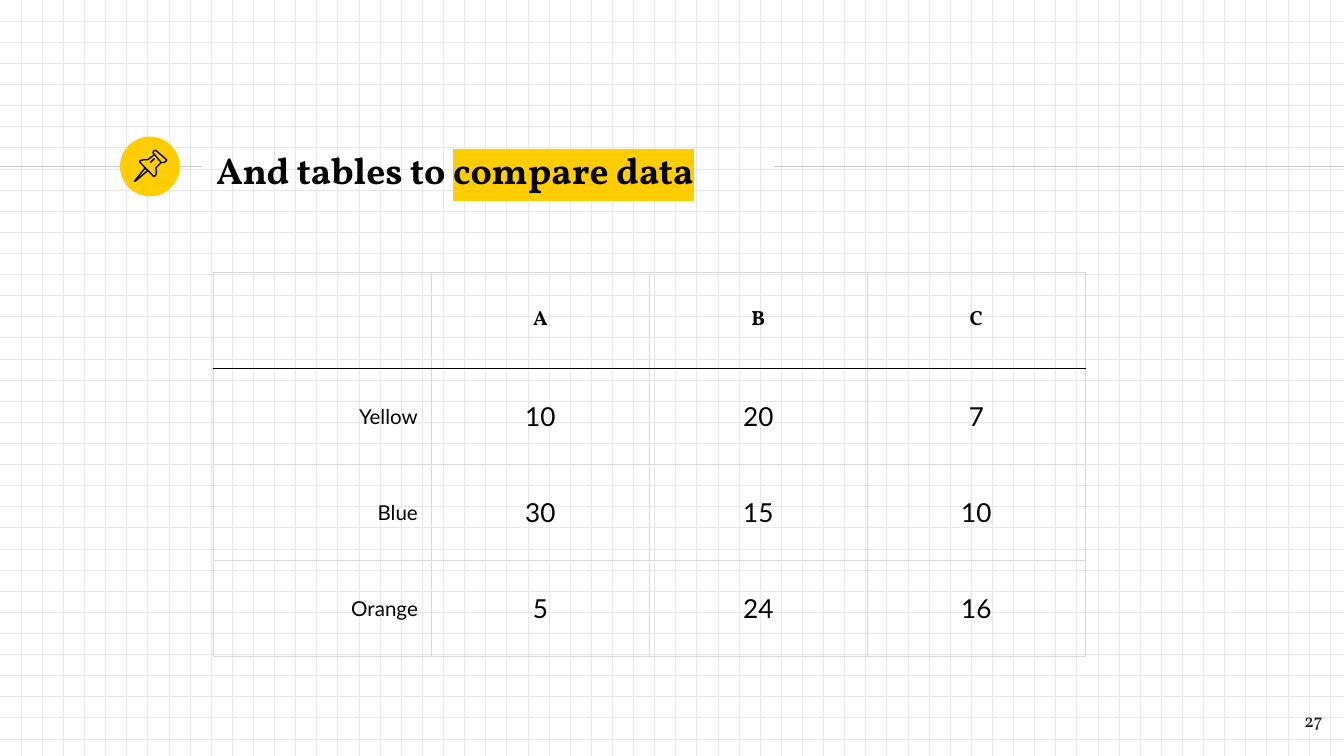
from lxml.etree import SubElement
from pptx import Presentation
from pptx.dml.color import RGBColor
from pptx.enum.dml import MSO_PATTERN
from pptx.enum.shapes import MSO_CONNECTOR, MSO_SHAPE
from pptx.enum.text import MSO_ANCHOR, PP_ALIGN
from pptx.oxml.ns import qn
from pptx.util import Pt

GOLD, BLACK, GRAY = "FFCD00", "000000", "D9D9D9"
SERIF, SANS = "Vollkorn", "Lato"
ROWS = [
    ["", "A", "B", "C"],
    ["Yellow", "10", "20", "7"],
    ["Blue", "30", "15", "10"],
    ["Orange", "5", "24", "16"],
]
PIN = [
    ([(5.8, 9.4), (0.7, 15.8), (0, 16.6), (1.4, 15.8), (7.2, 10.8)], True),
    ([(10.8, 2.2), (14.4, 6.5), (15.8, 6.5), (17, 5.8), (17.3, 5),
      (11.5, 0), (10.8, 0), (10.1, 0.7), (10.1, 1.4)], True),
    ([(10.8, 2.2), (7.2, 5), (5, 5), (3.2, 5.4), (2.9, 6.3), (10.1, 13.7),
      (10.8, 13.9), (11.5, 13.3), (11.9, 11.5), (11.5, 9.4), (14.4, 6.5)], False),
    ([(8.6, 6.5), (10.8, 4.3)], False),
]


def color(code):
    """Turn a hex string into a colour."""
    return RGBColor.from_string(code)


def add_run(para, text, size, face=SERIF, code=BLACK, bold=False, mark=None):
    """Add one styled run, with an optional highlight."""
    run = para.add_run()
    run.text = text
    font = run.font
    font.size, font.name, font.bold = Pt(size), face, bold
    font.color.rgb = color(code)
    if mark:
        props = run._r.get_or_add_rPr()
        light = SubElement(props, qn("a:highlight"))
        SubElement(light, qn("a:srgbClr"), val=mark)
        props.find(qn("a:solidFill")).addnext(light)


def add_box(slide, left, top, width, height, anchor):
    """Add a text box and return its first paragraph."""
    frame = slide.shapes.add_textbox(Pt(left), Pt(top), Pt(width), Pt(height)).text_frame
    frame.word_wrap = True
    frame.vertical_anchor = anchor
    frame.margin_left = frame.margin_right = Pt(7.2)
    frame.margin_top = frame.margin_bottom = Pt(7.2)
    return frame.paragraphs[0]


def add_rule(slide, start, end, y):
    """Draw one thin level line."""
    line = slide.shapes.add_connector(MSO_CONNECTOR.STRAIGHT, Pt(start), Pt(y), Pt(end), Pt(y))
    line.line.color.rgb = color("CCCCCC")
    line.line.width = Pt(0.75)
    SubElement(line._element.spPr, qn("a:effectLst"))


def add_pin(slide, left, top):
    """Outline the push pin from its top left corner."""
    for points, closed in PIN:
        spots = [(Pt(left + x), Pt(top + y)) for x, y in points]
        form = slide.shapes.build_freeform(*spots[0])
        form.add_line_segments(spots[1:], close=closed)
        part = form.convert_to_shape()
        part.shadow.inherit = False
        part.fill.background()
        part.line.color.rgb = color(BLACK)
        part.line.width = Pt(0.75)


def add_header(slide, left, top, width, height):
    """Place the badge, the title and the rules beside them."""
    mid = top + 15.9
    add_rule(slide, left, left + 108, mid)
    add_rule(slide, left + 414.8, left + width, mid)
    badge = slide.shapes.add_shape(
        MSO_SHAPE.OVAL, Pt(left + 64.3), Pt(mid - 16), Pt(32), Pt(32))
    badge.shadow.inherit = False
    badge.fill.solid()
    badge.fill.fore_color.rgb = color(GOLD)
    badge.line.fill.background()
    add_pin(slide, left + 72, mid - 8.6)
    para = add_box(slide, left + 108.8, top, 305.3, height, MSO_ANCHOR.MIDDLE)
    add_run(para, "And tables to ", 20, bold=True)
    add_run(para, "compare data", 20, bold=True, mark=GOLD)


def add_edges(cell, codes):
    """Draw the left, right, top and bottom edges of a cell."""
    props = cell._tc.get_or_add_tcPr()
    for spot, (side, code) in enumerate(zip("LRTB", codes)):
        edge = SubElement(props, qn(f"a:ln{side}"), w=str(Pt(0.75)))
        SubElement(SubElement(edge, qn("a:solidFill")), qn("a:srgbClr"), val=code)
        props.insert(spot, edge)


def add_grid(slide, left, top, width, height):
    """Place the data table."""
    table = slide.shapes.add_table(
        len(ROWS), len(ROWS[0]), Pt(left), Pt(top), Pt(width), Pt(height)).table
    table.first_row = table.horz_banding = False
    for r, row in enumerate(ROWS):
        for c, text in enumerate(row):
            cell = table.cell(r, c)
            cell.fill.background()
            cell.vertical_anchor = MSO_ANCHOR.MIDDLE
            cell.margin_left = cell.margin_right = Pt(7.2)
            cell.margin_top = cell.margin_bottom = Pt(5)
            add_edges(cell, [GRAY, GRAY, BLACK if r == 1 else GRAY, BLACK if r == 0 else GRAY])
            para = cell.text_frame.paragraphs[0]
            para.alignment = PP_ALIGN.CENTER if c else PP_ALIGN.RIGHT
            if text:
                size = 14 if r and c else 11
                add_run(para, text, size, SANS if r else SERIF, bold=r == 0)


def add_number(slide, left, top, width, height):
    """Place the page number."""
    para = add_box(slide, left, top, width, height, MSO_ANCHOR.TOP)
    para.alignment = PP_ALIGN.RIGHT
    add_run(para, "27", 10, code="1D1D1B")


def main():
    """Build and save the slide."""
    deck = Presentation()
    deck.slide_width, deck.slide_height = Pt(720), Pt(405)
    slide = deck.slides.add_slide(deck.slide_layouts[6])
    fill = slide.background.fill
    fill.patterned()
    fill.pattern = MSO_PATTERN.DOTTED_GRID
    fill.fore_color.rgb = color("E8E7E6")
    fill.back_color.rgb = color("FFFFFF")
    add_header(slide, 0, 73.3, 720, 34.6)
    add_grid(slide, 114.3, 146, 467.2, 205.6)
    add_number(slide, 672.5, 373.7, 43.2, 31)
    deck.save("out.pptx")


if __name__ == "__main__":
    main()
